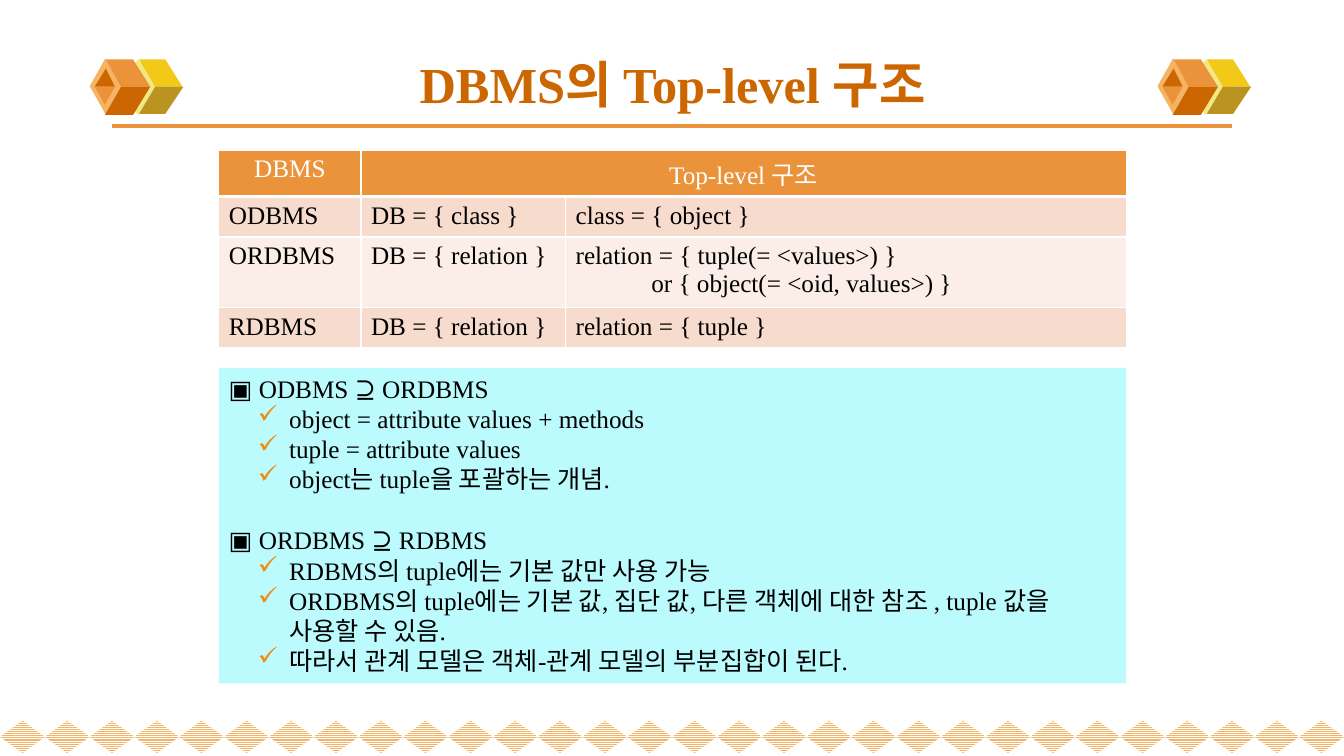
import pptx
import pptx.util
import pptx.dml.color
import pptx.enum.dml
import pptx.enum.shapes
import pptx.enum.text
import pptx.oxml
import pptx.oxml.ns
from dataclasses import dataclass
from pptx.util import Inches


@dataclass(frozen=True)
class Theme:
    font: str = "Times New Roman"
    title_size: int = 36
    body_size: int = 18
    white: str = "FFFFFF"
    black: str = "000000"
    orange: str = "EB933B"
    dark_orange: str = "CC6600"
    light_orange: str = "F5B363"
    pale_yellow: str = "F1E785"
    yellow: str = "F3C917"
    olive: str = "BB9321"
    check: str = "F08C12"
    row_dark: str = "F7DCCE"
    row_light: str = "FBEEE8"
    panel: str = "BBFAFD"


theme = Theme()
rgb = pptx.dml.color.RGBColor.from_string
MSO_SHAPE = pptx.enum.shapes.MSO_SHAPE
PP_ALIGN = pptx.enum.text.PP_ALIGN
NS = pptx.oxml.ns.nsdecls("a")


def paint(shape, color):
    """Give a flat fill with neither outline nor shadow."""
    shape.shadow.inherit = False
    shape.fill.solid()
    shape.fill.fore_color.rgb = rgb(color)
    shape.line.fill.background()


def style(paragraph, size, color, bold=False):
    for run in paragraph.runs:
        run.font.name = theme.font
        run.font.size = pptx.util.Pt(size)
        run.font.bold = bold
        run.font.color.rgb = rgb(color)


deck = pptx.Presentation()
deck.slide_width = Inches(13.33)
deck.slide_height = Inches(7.5)
slide = deck.slides.add_slide(deck.slide_layouts[6])
shapes = slide.shapes

# Band of hatched diamonds along the bottom edge
diamond_count = 30
diamond_width = deck.slide_width / diamond_count
for index in range(diamond_count):
    diamond = shapes.add_shape(MSO_SHAPE.DIAMOND, int(index * diamond_width), Inches(7.15),
                               int(diamond_width), Inches(0.32))
    paint(diamond, theme.white)
    diamond.fill.patterned()
    diamond.fill.pattern = pptx.enum.dml.MSO_PATTERN.NARROW_HORIZONTAL
    diamond.fill.fore_color.rgb = rgb(theme.light_orange)
    diamond.fill.back_color.rgb = rgb(theme.white)

# Rule under the title
title_rule = shapes.add_connector(pptx.enum.shapes.MSO_CONNECTOR.STRAIGHT,
                                  Inches(1.11), Inches(1.25), Inches(12.22), Inches(1.25))
title_rule.line.color.rgb = rgb(theme.orange)
title_rule.line.width = pptx.util.Pt(2.25)
title_rule._element.spPr.append(pptx.oxml.parse_xml(f"<a:effectLst {NS}/>"))

# Cube ornaments: diamonds and facets measured from each ornament's left edge
cube_parts = [
    (theme.pale_yellow, (0.26, 0.59, 0.44, 0.55)),
    (theme.yellow, [(0.65, 0.86), (0.92, 0.86), (0.75, 0.59), (0.49, 0.59)]),
    (theme.olive, [(0.65, 0.86), (0.93, 0.86), (0.75, 1.13), (0.49, 1.13)]),
    (theme.light_orange, (0, 0.58, 0.31, 0.55)),
    (theme.orange, [(0.31, 0.86), (0.6, 0.86), (0.43, 0.59), (0.16, 0.59)]),
    (theme.dark_orange, [(0.31, 0.86), (0.6, 0.86), (0.43, 1.14), (0.15, 1.14)]),
    (theme.dark_orange, [(0.16, 0.68), (0.05, 0.86), (0.25, 0.86)]),
    (theme.orange, [(0.15, 1.04), (0.05, 0.86), (0.25, 0.86)]),
]
for cube_left in (0.89, 11.48):
    for color, outline in cube_parts:
        if isinstance(outline, tuple):
            left, top, width, height = outline
            facet = shapes.add_shape(MSO_SHAPE.DIAMOND, Inches(cube_left + left), Inches(top),
                                     Inches(width), Inches(height))
        else:
            points = [(Inches(cube_left + x), Inches(y)) for x, y in outline]
            builder = shapes.build_freeform(*points[0])
            builder.add_line_segments(points[1:])
            facet = builder.convert_to_shape()
        paint(facet, color)

# Title
title = shapes.add_textbox(Inches(0.67), Inches(0.45), Inches(12), Inches(0.76)).text_frame
title.word_wrap = True
title.vertical_anchor = pptx.enum.text.MSO_ANCHOR.MIDDLE
title.text = "DBMS의 Top-level 구조"
title.paragraphs[0].alignment = PP_ALIGN.CENTER
style(title.paragraphs[0], theme.title_size, theme.dark_orange, bold=True)

# Table of top-level structures
structure_rows = [
    ["DBMS", "Top-level 구조", ""],
    ["ODBMS", "DB = { class }", "class = { object }"],
    ["ORDBMS", "DB = { relation }",
     "relation = { tuple(= <values>) }\nor { object(= <oid, values>) }"],
    ["RDBMS", "DB = { relation }", "relation = { tuple }"],
]
row_fills = [theme.orange, theme.row_dark, theme.row_light, theme.row_dark]
structures = shapes.add_table(4, 3, Inches(2.17), Inches(1.49), Inches(9), Inches(1.9)).table
for column, width in zip(structures.columns, (1.41, 2.03, 5.56)):
    column.width = Inches(width)
for row, height in zip(structures.rows, (0.46, 0.4, 0.65, 0.4)):
    row.height = Inches(height)
structures.cell(0, 1).merge(structures.cell(0, 2))
for r, texts in enumerate(structure_rows):
    for c, text in enumerate(texts):
        cell = structures.cell(r, c)
        cell.text_frame.text = text
        for paragraph in cell.text_frame.paragraphs:
            style(paragraph, theme.body_size, theme.black if r else theme.white)
            if r == 0:
                paragraph.alignment = PP_ALIGN.CENTER
        for side in ("lnL", "lnR", "lnT", "lnB"):
            points = 3 if r == 0 and side == "lnB" else 1
            cell._tc.get_or_add_tcPr().append(pptx.oxml.parse_xml(
                f'<a:{side} {NS} w="{pptx.util.Pt(points)}"><a:solidFill>'
                f'<a:srgbClr val="{theme.white}"/></a:solidFill></a:{side}>'))
        cell.fill.solid()
        cell.fill.fore_color.rgb = rgb(row_fills[r])
object_option = structures.cell(2, 2).text_frame.paragraphs[1]
object_option._p.get_or_add_pPr().set("marL", str(Inches(0.75)))

# Panel comparing the models
comparisons = [
    ("▣ ODBMS ⊇ ORDBMS", [
        "object = attribute values + methods",
        "tuple = attribute values",
        "object는 tuple을 포괄하는 개념.",
    ]),
    ("▣ ORDBMS ⊇ RDBMS", [
        "RDBMS의 tuple에는 기본 값만 사용 가능",
        "ORDBMS의 tuple에는 기본 값, 집단 값, 다른 객체에 대한 참조 , tuple 값을 사용할 수 있음.",
        "따라서 관계 모델은 객체-관계 모델의 부분집합이 된다.",
    ]),
]
panel = shapes.add_shape(MSO_SHAPE.RECTANGLE, Inches(2.17), Inches(3.65), Inches(9), Inches(3.13))
paint(panel, theme.panel)
notes = panel.text_frame
notes.word_wrap = True
notes.vertical_anchor = pptx.enum.text.MSO_ANCHOR.TOP
notes.text = "\n".join(line for heading, points in comparisons for line in [heading, *points])
for paragraph in notes.paragraphs:
    paragraph.alignment = PP_ALIGN.LEFT
    style(paragraph, theme.body_size, theme.black)
    if not paragraph.text.startswith("▣"):
        paragraph.level = 1
        properties = paragraph._p.get_or_add_pPr()
        properties.set("marL", str(Inches(0.6)))
        properties.set("indent", str(Inches(-0.31)))
        for bullet in (f'<a:buClr {NS}><a:srgbClr val="{theme.check}"/></a:buClr>',
                       f'<a:buChar {NS} char="✓"/>'):
            properties.append(pptx.oxml.parse_xml(bullet))
second_heading = notes.paragraphs[len(comparisons[0][1]) + 1]
second_heading.space_before = pptx.util.Pt(22)

deck.save("out.pptx")
